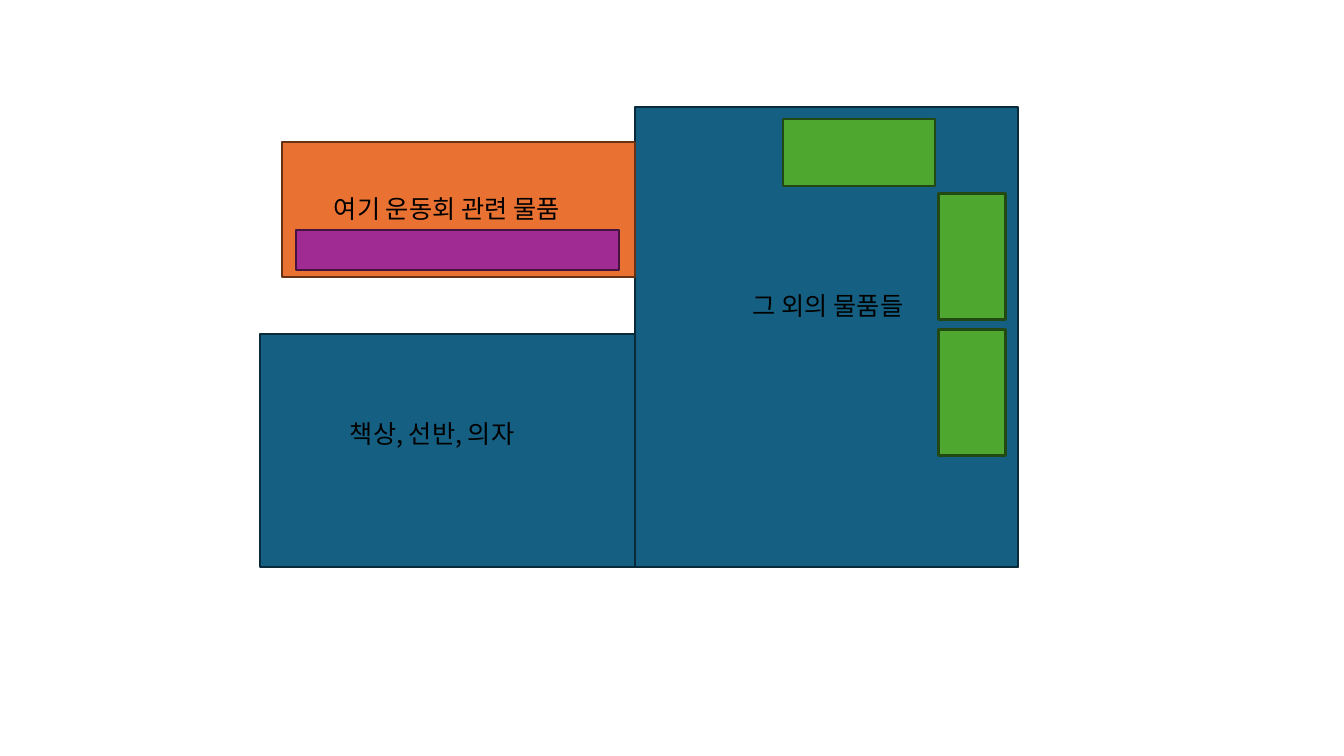
"""Build a floor plan slide of a storage room with labelled areas and shelves."""
import lxml.etree
import pptx
import pptx.dml.color
import pptx.enum.shapes
import pptx.oxml.ns
import pptx.util

PX = 914400 / 100.8
FONT = "Noto Sans CJK KR"


def px(*lengths):
    return [pptx.util.Emu(round(length * PX)) for length in lengths]


def color(value):
    return pptx.dml.color.RGBColor.from_string(value)


deck = pptx.Presentation()
deck.slide_width, deck.slide_height = px(1344, 756)
page = deck.slides.add_slide(deck.slide_layouts[6])

BLUE = ("156082", "092A39")
ORANGE = ("E97132", "663216")
PURPLE = ("A02B93", "461340")
GREEN = ("4EA72E", "224914")

areas = [
    (260, 334, 758, 233, 0, BLUE),
    (635, 107, 383, 460, 0, BLUE),
    (282, 142, 353, 135, 0, ORANGE),
    (296, 230, 323, 40, 0, PURPLE),
    (783, 119, 152, 67, 0, GREEN),
    (909, 223, 126, 67, 90, GREEN),
    (909, 359, 126, 67, 90, GREEN),
]
for left, top, width, height, angle, (fill, line) in areas:
    area = page.shapes.add_shape(
        pptx.enum.shapes.MSO_SHAPE.RECTANGLE, *px(left, top, width, height))
    area.rotation = angle
    area.shadow.inherit = False
    area.fill.solid()
    area.fill.fore_color.rgb = color(fill)
    area.line.color.rgb = color(line)
    area.line.width = pptx.util.Pt(1.5)

labels = [
    (324, 188, 311, "여기 운동회 관련 물품"),
    (340, 413, 279, "책상, 선반, 의자"),
    (743, 285, 193, "그 외의 물품들"),
]
for left, top, width, text in labels:
    box = page.shapes.add_textbox(*px(left, top, width, 40))
    box.text_frame.word_wrap = True
    span = box.text_frame.paragraphs[0].add_run()
    span.text = text
    span.font.size = pptx.util.Pt(18)
    span.font.name = FONT
    span.font.color.rgb = color("000000")
    lxml.etree.SubElement(
        span.font._element, pptx.oxml.ns.qn("a:ea"), typeface=FONT)

deck.save("out.pptx")
